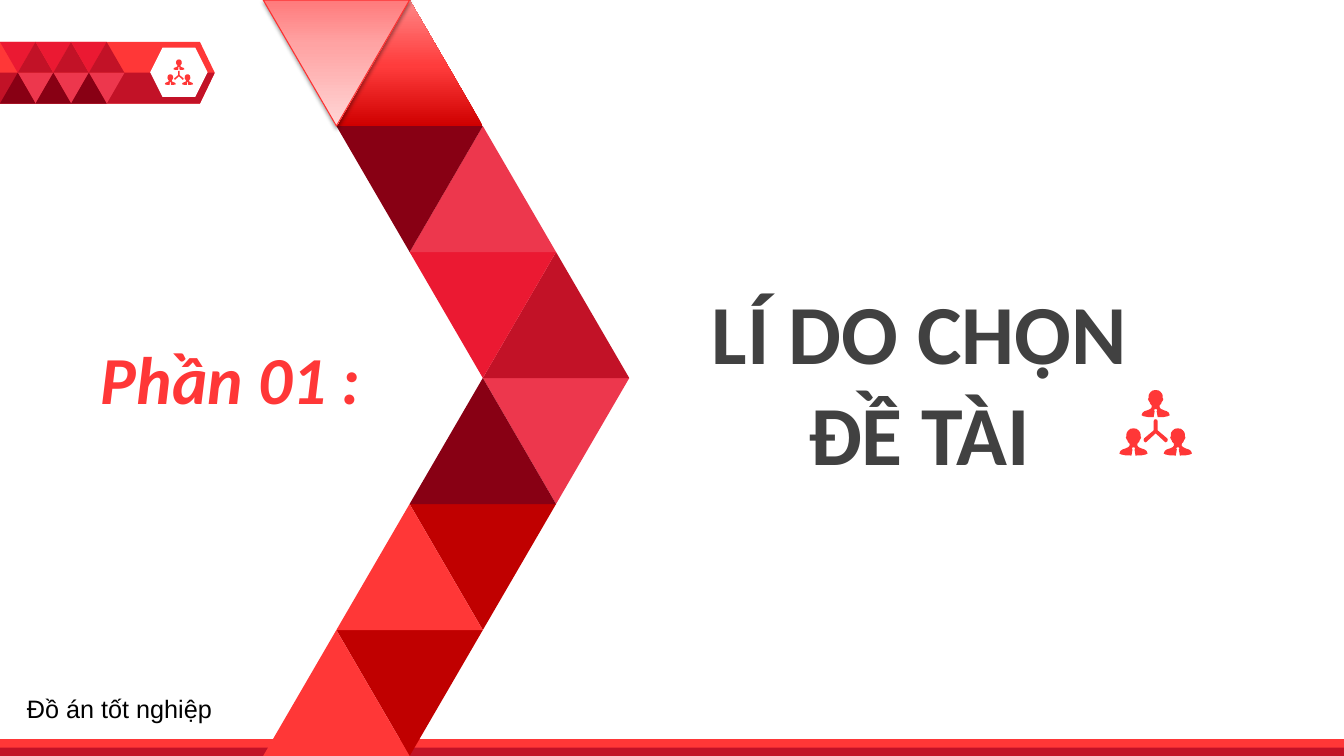
from copy import deepcopy
from dataclasses import dataclass

from lxml import etree
from pptx import Presentation
from pptx import util as u
from pptx.dml.color import RGBColor
from pptx.enum import shapes, text
from pptx.oxml.ns import qn

Pt = u.Pt
Kind = shapes.MSO_SHAPE
HEX = {
    "red": "FF3737", "rose": "ED374D", "ruby": "EB1932", "wine": "C21227",
    "dark": "880014", "deep": "C00000", "edge": "FD3030",
    "white": "FFFFFF", "grey": "414141", "black": "000000",
}
GLOW = [(0, "CF0000"), (0.48, "FF3C3C"), (1, "FF8787")]
PALE = [(0, "FF7A7B"), (0.35, "FFA3A3"), (1, "FFD6D6")]

# Right halves of the icon parts, in hundredths of an inch
BODY = [(0, 0), (3, 0.5), (5, 2), (6.5, 4), (7, 6), (7, 8), (7.6, 9), (7, 10.5),
        (6, 12), (5.5, 13.5), (4, 15), (3.8, 17), (5, 18.6), (8, 20), (11, 21),
        (13, 22.5), (14, 25), (12, 26), (8, 26.8), (2, 27), (1, 21), (1.6, 20),
        (1, 19), (0, 19)]
LINK = [(0, 29), (1.4, 29.5), (2, 31), (2, 40), (11.5, 48), (12, 49.5),
        (11.5, 51), (10, 52), (9, 51.3), (0, 43)]


@dataclass
class Tri:
    x: float
    y: float
    w: float
    h: float
    fill: str
    down: bool


@dataclass
class Label:
    x: float
    y: float
    w: float
    h: float
    words: str
    font: str
    size: float
    tone: str
    bold: bool = False
    slant: bool = False
    mid: bool = False


def rgb(name: str) -> RGBColor:
    return RGBColor.from_string(HEX.get(name, name))


def paint(shape, tone: str):
    shape.shadow.inherit = False
    shape.fill.solid()
    shape.fill.fore_color.rgb = rgb(tone)
    shape.line.fill.background()
    return shape


def block(slide, kind, x: float, y: float, w: float, h: float, tone: str):
    return paint(slide.shapes.add_shape(kind, Pt(x), Pt(y), Pt(w), Pt(h)), tone)


def wedge(slide, tri: Tri):
    shape = block(slide, Kind.ISOSCELES_TRIANGLE, tri.x, tri.y, tri.w, tri.h, tri.fill)
    shape.rotation = 180 if tri.down else 0
    return shape


def blend(shape, stops: list) -> None:
    """Fill with three colour stops running from base to tip."""
    fill = shape.fill
    fill.gradient()
    fill.gradient_angle = 90
    first = shape.element.spPr.find(".//" + qn("a:gs"))
    first.addnext(deepcopy(first))
    for stop, (pos, tone) in zip(fill.gradient_stops, stops):
        stop.position = pos
        stop.color.rgb = rgb(tone)


def lift(shape) -> None:
    """Add a thin edge and a soft shadow."""
    shape.line.color.rgb = rgb("edge")
    shape.line.width = Pt(0.75)
    glow = etree.SubElement(
        shape.element.spPr.find(qn("a:effectLst")), qn("a:outerShdw"),
        blurRad=str(Pt(3.1)), dist=str(Pt(1.6)), dir="5400000", rotWithShape="0")
    tone = etree.SubElement(glow, qn("a:srgbClr"), val=HEX["black"])
    etree.SubElement(tone, qn("a:alpha"), val="38000")


def trace(slide, loops: list, tone: str):
    """Draw closed outlines, given in points, as one shape."""
    loops = [[(Pt(x), Pt(y)) for x, y in loop] for loop in loops]
    pen = slide.shapes.build_freeform(*loops[0][0], scale=1.0)
    for i, loop in enumerate(loops):
        if i:
            pen.move_to(*loop[0])
        pen.add_line_segments(loop[1:], close=True)
    return paint(pen.convert_to_shape(), tone)


def team(slide, x: float, y: float, zoom: float) -> None:
    """Draw three linked people; x is the middle, y the top."""
    parts = [(BODY, 22, 38), (BODY, -22, 38), (LINK, 0, 0), (BODY, 0, 0)]
    loops = []
    for half, dx, dy in parts:
        full = half + [(-a, b) for a, b in reversed(half)]
        loops.append([(x + (a + dx) * zoom, y + (b + dy) * zoom) for a, b in full])
    trace(slide, loops, "red")


def write(slide, label: Label) -> None:
    box = slide.shapes.add_textbox(Pt(label.x), Pt(label.y), Pt(label.w), Pt(label.h))
    box.text_frame.word_wrap = True
    para = box.text_frame.paragraphs[0]
    para.alignment = text.PP_ALIGN.CENTER if label.mid else text.PP_ALIGN.LEFT
    run = para.add_run()
    run.text = label.words
    font = run.font
    font.name, font.size = label.font, Pt(label.size)
    font.bold, font.italic = label.bold, label.slant
    font.color.rgb = rgb(label.tone)


def badge(slide) -> None:
    top, mid, w, h = 30, 52, 25.4, 22
    plate = block(slide, Kind.PENTAGON, 0, top, 153.4, 2 * h, "red")
    plate.adjustments[0] = 0.24
    trace(slide, [[(0, mid), (153.4, mid), (142.8, mid + h), (0, mid + h)]], "wine")
    block(slide, Kind.HEXAGON, 107.3, 34, 41, 35.3, "white")
    team(slide, 127.8, 42.5, 0.28)
    for i in range(3):
        x = i * w
        for tri in (Tri(x, top, w, h, "ruby", True),
                    Tri(x + w / 2, top, w, h, "wine", False),
                    Tri(x + w / 2, mid, w, h, "rose", True),
                    Tri(x, mid, w, h, "dark", False)):
            wedge(slide, tri)


def arrow(slide) -> None:
    """Draw the large chevron, two triangles a row, from the bottom up."""
    rows = [("red", "red"), ("dark", "rose"), ("ruby", "wine"),
            ("dark", "rose"), ("red", "deep"), ("red", "deep")]
    w, h, step = 104.6, 90, 52.3
    for r in reversed(range(6)):
        x, upper = 188 + step * min(r, 5 - r), r < 3
        left, right = rows[r]
        east = wedge(slide, Tri(x + step, r * h, w, h, right, not upper))
        west = wedge(slide, Tri(x, r * h, w, h, left, upper))
        if r == 0:
            blend(east, GLOW)
            blend(west, PALE)
            lift(west)


def main() -> None:
    deck = Presentation()
    deck.slide_width, deck.slide_height = Pt(960), Pt(540)
    slide = deck.slides.add_slide(deck.slide_layouts[6])
    badge(slide)
    block(slide, Kind.RECTANGLE, 0, 528, 960, 12, "red")
    block(slide, Kind.RECTANGLE, 0, 534, 960, 6, "wine")
    arrow(slide)
    for label in (
        Label(65, 237.6, 296.6, 65, "Phần 01 :", "Calibri", 48, "red", True, True),
        Label(462.2, 196.6, 388.8, 152.6, "LÍ DO CHỌN ĐỀ TÀI", "Calibri", 60, "grey",
              True, mid=True),
        Label(12.2, 491.8, 203.8, 28.8, "Đồ án tốt nghiệp", "Arial", 18, "black"),
    ):
        write(slide, label)
    team(slide, 825.5, 278.6, 0.72)
    deck.save("out.pptx")


if __name__ == "__main__":
    main()
